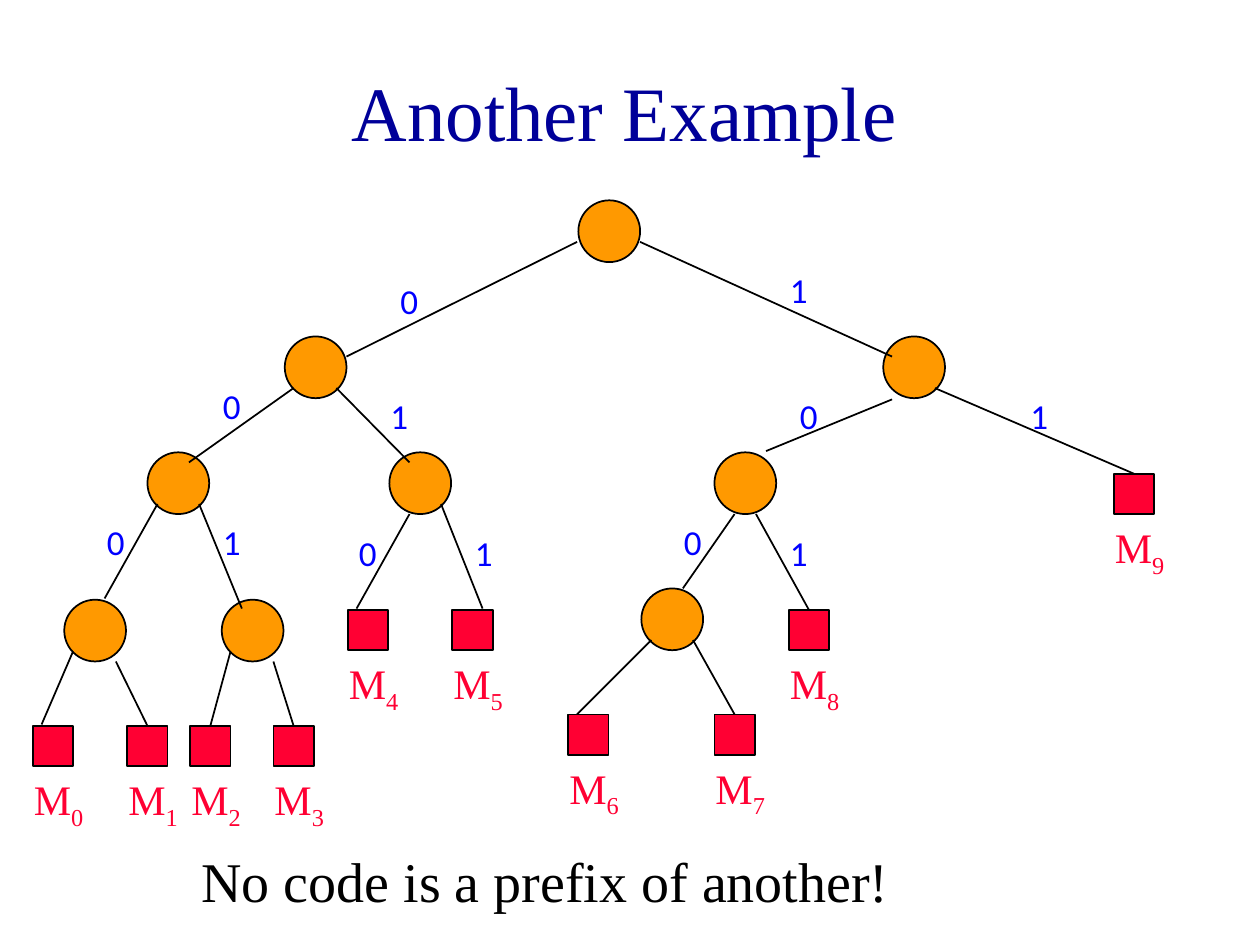
"""Build a slide with a binary prefix-code tree."""
from lxml import etree
from pptx import Presentation
from pptx.dml.color import RGBColor
from pptx.enum.shapes import MSO_CONNECTOR, MSO_SHAPE
from pptx.enum.text import MSO_ANCHOR, MSO_AUTO_SIZE, PP_ALIGN
from pptx.oxml.ns import qn
from pptx.util import Inches, Pt

OVAL = MSO_SHAPE.OVAL
RECTANGLE = MSO_SHAPE.RECTANGLE
STRAIGHT = MSO_CONNECTOR.STRAIGHT
GROW = MSO_AUTO_SIZE.SHAPE_TO_FIT_TEXT
MIDDLE = MSO_ANCHOR.MIDDLE
CENTER = PP_ALIGN.CENTER

NAVY = RGBColor(0x00, 0x00, 0x99)
BLUE = RGBColor(0x00, 0x00, 0xFF)
ORANGE = RGBColor(0xFF, 0x99, 0x00)
RED = RGBColor(0xFF, 0x00, 0x33)
BLACK = RGBColor(0x00, 0x00, 0x00)
SERIF = "Times New Roman"
SANS = "Calibri"
TOP = 0

NODES = [(4.59, 1.59), (2.26, 2.67), (7.01, 2.67), (1.17, 3.59), (3.09, 3.59),
         (5.67, 3.59), (0.51, 4.76), (1.76, 4.76), (5.09, 4.67)]
LEAVES = [(0.26, 5.76), (1.01, 5.76), (1.51, 5.76), (2.17, 5.76), (2.76, 4.84),
          (3.59, 4.84), (4.51, 5.67), (5.67, 5.67), (6.26, 4.84), (8.84, 3.76)]
NODE_EDGES = [(4.58, 1.92, 2.75, 2.83), (5.08, 1.92, 7.08, 2.83),
              (2.33, 3.08, 1.5, 3.67), (2.67, 3.08, 3.25, 3.67),
              (7.08, 3.17, 6.08, 3.58), (1.25, 4, 0.83, 4.75),
              (1.58, 4, 1.92, 4.83), (5.83, 4.08, 5.42, 4.67)]
LEAF_EDGES = [(0.58, 5.17, 0.33, 5.75), (0.92, 5.25, 1.17, 5.75),
              (1.83, 5.17, 1.67, 5.75), (2.17, 5.25, 2.33, 5.75),
              (3.25, 4.08, 2.83, 4.83), (3.5, 4, 3.83, 4.83),
              (5.17, 5.08, 4.58, 5.67), (5.5, 5.08, 5.83, 5.67),
              (6, 4.08, 6.42, 4.83), (7.42, 3.08, 9, 3.75)]
JOINED = {1, 2, 3, 7, 8, 9}
BITS = {
    "0": [(3.08, 2.17), (1.67, 3), (0.75, 4.08), (6.25, 3.08), (5.33, 4.08), (2.75, 4.17)],
    "1": [(6.17, 2.08), (3, 3.08), (8.08, 3.08), (1.67, 4.08), (3.67, 4.17), (6.17, 4.17)],
}


class TreeSlide:
    """Draws tree elements in one style on the current slide."""

    def __init__(self, slide):
        self.slide = slide
        self.shapes = slide.shapes

    def style(self, r, size, font, color):
        r.font.size = Pt(size)
        r.font.name = font
        r.font.color.rgb = color

    def title(self, text):
        sp = self.shapes.title
        sp.left, sp.top, sp.width, sp.height = map(Inches, (0.08, 0.25, 9.75, 1.25))
        tf = sp.text_frame
        tf.text = text
        tf.vertical_anchor = MIDDLE
        p = tf.paragraphs[0]
        p.alignment = CENTER
        self.style(p.runs[0], 44, SERIF, NAVY)

    def text(self, text, x, y, w, h, size, font, color):
        tf = self.shapes.add_textbox(*map(Inches, (x, y, w, h))).text_frame
        tf.word_wrap = True
        tf.auto_size = GROW
        p = tf.paragraphs[0]
        p.text = text
        p.space_before = Pt(size * 0.625)
        self.style(p.runs[0], size, font, color)
        return p

    def shape(self, kind, x, y, size, color):
        sp = self.shapes.add_shape(kind, *map(Inches, (x, y, size, size)))
        sp.shadow.inherit = False
        sp.fill.solid()
        sp.fill.fore_color.rgb = color
        sp.line.color.rgb = BLACK
        sp.line.width = Pt(1)
        return sp

    def node(self, x, y):
        return self.shape(OVAL, x, y, 0.49, ORANGE)

    def leaf(self, x, y):
        return self.shape(RECTANGLE, x, y, 0.32, RED)

    def edge(self, x1, y1, x2, y2, leaf=None):
        line = self.shapes.add_connector(STRAIGHT, *map(Inches, (x1, y1, x2, y2)))
        line.line.color.rgb = BLACK
        line.line.width = Pt(1)
        etree.SubElement(line._element.spPr, qn("a:effectLst"))
        if leaf is not None:
            line.end_connect(leaf, TOP)

    def bit(self, text, x, y):
        self.text(text, x, y, 0.5, 0.44, 20, SANS, BLUE)

    def message(self, number, x, y):
        p = self.text("M", x - 0.09, y + 0.33, 0.67, 0.56, 24, SERIF, RED)
        r = p.add_run()
        r.text = str(number)
        self.style(r, 24, SERIF, RED)
        r._r.get_or_add_rPr().set("baseline", "-25000")


def main():
    prs = Presentation()
    prs.slide_width, prs.slide_height = Inches(10), Inches(7.5)
    s = TreeSlide(prs.slides.add_slide(prs.slide_layouts[5]))
    s.title("Another Example")
    s.text("No code is a prefix of another!", 1.5, 6.67, 6.58, 0.63, 32, SERIF, BLACK)
    for position in NODES:
        s.node(*position)
    leaves = [s.leaf(*position) for position in LEAVES]
    for edge in NODE_EDGES:
        s.edge(*edge)
    for i, edge in enumerate(LEAF_EDGES):
        s.edge(*edge, leaf=leaves[i] if i in JOINED else None)
    for bit, positions in BITS.items():
        for position in positions:
            s.bit(bit, *position)
    for i, position in enumerate(LEAVES):
        s.message(i, *position)
    prs.save("out.pptx")


if __name__ == "__main__":
    main()
